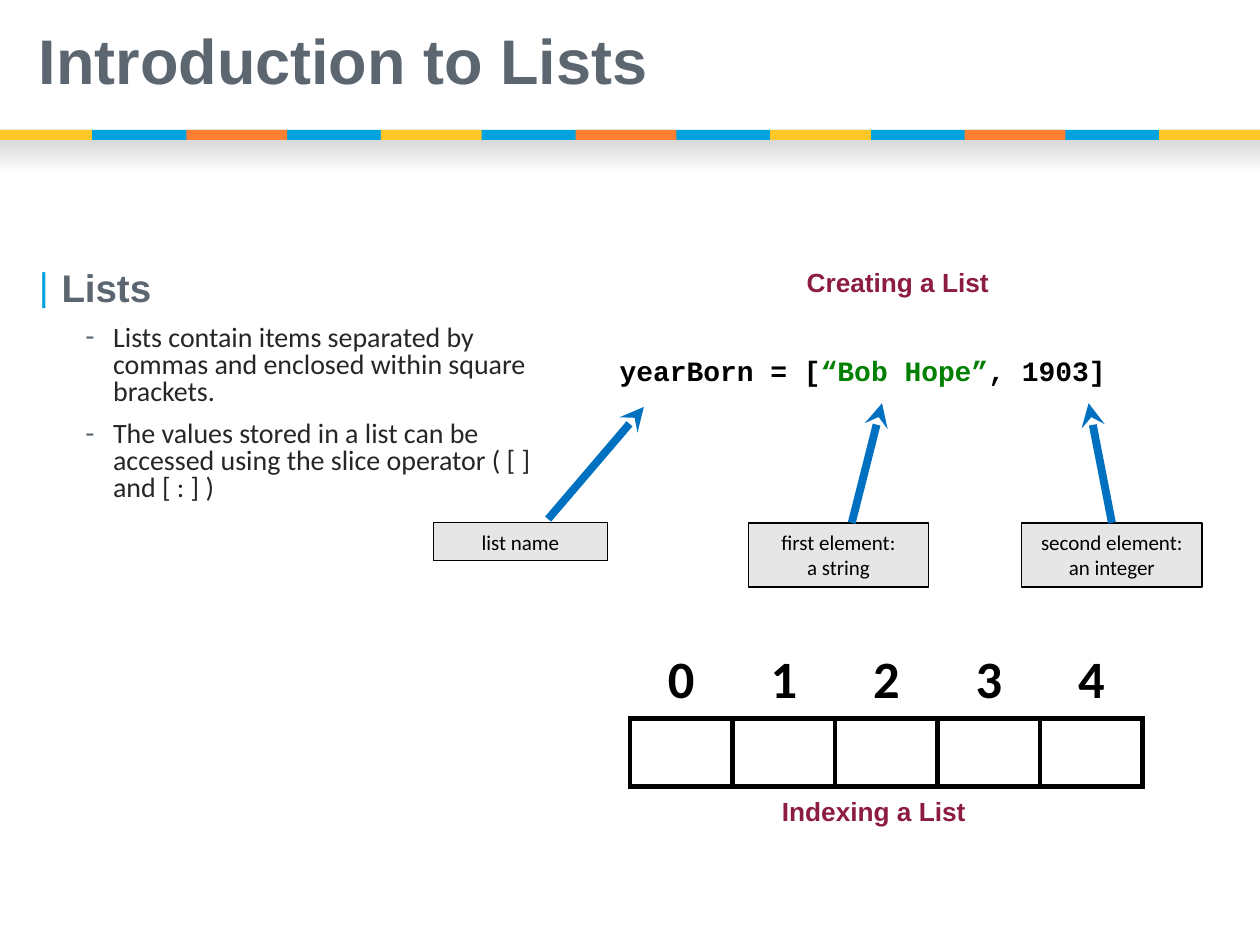
from lxml import etree
from pptx import Presentation
from pptx import util as u
from pptx.dml.color import RGBColor
from pptx.enum import shapes, text
from pptx.oxml import ns

BLACK = RGBColor(0x00, 0x00, 0x00)
WHITE = RGBColor(0xFF, 0xFF, 0xFF)
SLATE = RGBColor(0x5C, 0x66, 0x70)
INK = RGBColor(0x26, 0x26, 0x26)
MAROON = RGBColor(0x8C, 0x1D, 0x40)
GREEN = RGBColor(0x00, 0x80, 0x00)
GOLD = RGBColor(0xFF, 0xC6, 0x27)
SKY = RGBColor(0x00, 0xA2, 0xE0)
ORANGE = RGBColor(0xFF, 0x7F, 0x32)
ARROW_BLUE = RGBColor(0x00, 0x70, 0xC0)
LABEL_GRAY = RGBColor(0xE7, 0xE6, 0xE6)
SHADE_GRAY = RGBColor(0xD9, 0xD9, 0xD9)

COLUMNS, ROWS = 100, 75
CELL = u.Inches(0.1)


def grid(*counts):
    """Turn counts of grid columns or rows into lengths."""
    return [u.Emu(round(count * CELL)) for count in counts]


def add_xml(parent, tag, **attributes):
    return etree.SubElement(parent, ns.qn(tag), attributes)


def style(paragraph, font_name, size, color, bold=False, align=None, spacing=None):
    font = paragraph.font
    font.name, font.size, font.bold = font_name, u.Pt(size), bold
    font.color.rgb = color
    paragraph.alignment = align
    paragraph.line_spacing = spacing


def add_text_box(slide, box, margins=(1, 0.5)):
    frame = slide.shapes.add_textbox(*grid(*box)).text_frame
    frame.word_wrap = True
    frame.margin_left = frame.margin_right = grid(margins[0])[0]
    frame.margin_top = frame.margin_bottom = grid(margins[1])[0]
    return frame


def add_rectangle(slide, box, color=None):
    shape = slide.shapes.add_shape(shapes.MSO_SHAPE.RECTANGLE, *grid(*box))
    shape.shadow.inherit = False
    shape.line.fill.background()
    if color is not None:
        shape.fill.solid()
        shape.fill.fore_color.rgb = color
    return shape


def add_header_band(slide, box):
    """Draw the striped band and the soft shade below it."""
    left, top, width, height = box
    shade = add_rectangle(slide, (left, top + height, width, 2.7))
    shade.fill.gradient()
    shade.fill.gradient_angle = 270
    for stop, color in zip(shade.fill.gradient_stops, (SHADE_GRAY, WHITE)):
        stop.color.rgb = color
    add_rectangle(slide, box, SKY)
    add_rectangle(slide, (left, top, 7.3, height), GOLD)
    stripe = 8
    first = left + 14.8
    pitch = (left + width - stripe - first) / 5
    for index in range(6):
        color = GOLD if index % 2 else ORANGE
        add_rectangle(slide, (first + index * pitch, top, stripe, height), color)


def add_title(slide, box):
    frame = add_text_box(slide, box)
    frame.vertical_anchor = text.MSO_ANCHOR.MIDDLE
    paragraph = frame.paragraphs[0]
    paragraph.text = "Introduction to Lists"
    style(paragraph, "Arial", 36, SLATE, bold=True, spacing=0.9)


def set_bullet(paragraph, character, color, margin, indent):
    properties = paragraph._p.get_or_add_pPr()
    properties.set("marL", str(u.Inches(margin)))
    properties.set("indent", str(u.Inches(indent)))
    add_xml(add_xml(properties, "a:buClr"), "a:srgbClr", val=str(color))
    add_xml(properties, "a:buFont", typeface="Arial")
    add_xml(properties, "a:buChar", char=character)


def add_summary(slide, box):
    frame = add_text_box(slide, box)
    heading = frame.paragraphs[0]
    heading.text = "Lists"
    set_bullet(heading, "|", SKY, 0.19, -0.18)
    style(heading, "Arial", 22, SLATE, bold=True, spacing=0.8)
    for point in (
        "Lists contain items separated by commas and enclosed within square brackets.",
        "The values stored in a list can be accessed using the slice operator ( [ ] and [ : ] )",
    ):
        paragraph = frame.add_paragraph()
        paragraph.text = point
        paragraph.level = 1
        set_bullet(paragraph, "-", SLATE, 0.6, -0.22)
        style(paragraph, "Calibri", 16, INK, spacing=0.8)
        paragraph.space_before = u.Pt(9)


def add_caption(slide, box, words):
    paragraph = add_text_box(slide, box, margins=(0.7, 0.4)).paragraphs[0]
    paragraph.text = words
    style(paragraph, "Arial", 15, MAROON, True, text.PP_ALIGN.CENTER, 0.9)


def add_code_line(slide, box):
    paragraph = add_text_box(slide, box).paragraphs[0]
    style(paragraph, "Courier New", 16, BLACK, bold=True)
    for words, color in (
        ("yearBorn = [", BLACK), ("“Bob Hope”", GREEN), (", 1903]", BLACK),
    ):
        run = paragraph.add_run()
        run.text = words
        run.font.color.rgb = color


def add_label(slide, box, words):
    label = add_rectangle(slide, box, LABEL_GRAY)
    label.line.color.rgb = BLACK
    label.line.width = u.Pt(0.75)
    frame = label.text_frame
    frame.word_wrap = True
    frame.vertical_anchor = text.MSO_ANCHOR.TOP
    paragraph = frame.paragraphs[0]
    paragraph.text = words
    style(paragraph, "Calibri", 12, BLACK, align=text.PP_ALIGN.CENTER)
    return label


def add_arrow(slide, start, end):
    arrow = slide.shapes.add_connector(
        shapes.MSO_CONNECTOR.STRAIGHT, *grid(*start, *end))
    arrow.line.color.rgb = ARROW_BLUE
    arrow.line.width = u.Pt(4.5)
    properties = arrow._element.spPr
    add_xml(properties.find(ns.qn("a:ln")), "a:tailEnd", type="stealth")
    add_xml(properties, "a:effectLst")
    return arrow


def add_creation_diagram(slide, box):
    """Show the assignment and the labels that point at its parts."""
    left, top, width, height = box
    add_caption(slide, (left, top, width, 3.8), "Creating a List")
    add_code_line(slide, (left + 3.4, top + 6.6, 65, 3.7))
    base, tip = top + 20.5, top + 11
    add_label(slide, (left - 10.4, base, 13.8, 3), "list name")
    add_label(slide, (left + 14.6, base, 14.3, 5.1), "first element:\va string")
    second = add_label(slide, (left + 36.3, base, 14.3, 5.1), "second element: an integer")
    add_arrow(slide, (left - 1.3, base - 0.3), (left + 6.3, tip + 0.3))
    add_arrow(slide, (left + 22.8, base), (left + 25.2, tip))
    arrow = add_arrow(slide, (left + 43.5, base), (left + 41.6, tip))
    arrow.begin_connect(second, 0)


def set_borders(cell, sides):
    properties = cell._tc.get_or_add_tcPr()
    for position, side in enumerate(sides):
        line = etree.Element(ns.qn(f"a:ln{side}"), w=str(u.Pt(3)))
        add_xml(add_xml(line, "a:solidFill"), "a:srgbClr", val=str(BLACK))
        properties.insert(position, line)


def add_index_table(slide, box):
    table = slide.shapes.add_table(2, 5, *grid(*box)).table
    table.first_row = table.horz_banding = False
    table.rows[0].height, table.rows[1].height = grid(6, 5.4)
    for index in range(5):
        number, slot = table.cell(0, index), table.cell(1, index)
        number.fill.background()
        number.vertical_anchor = text.MSO_ANCHOR.BOTTOM
        number.margin_left = number.margin_right = grid(1)[0]
        paragraph = number.text_frame.paragraphs[0]
        paragraph.text = str(index)
        style(paragraph, "Calibri", 30, BLACK, True, text.PP_ALIGN.CENTER)
        slot.fill.solid()
        slot.fill.fore_color.rgb = WHITE
        set_borders(number, "B")
        set_borders(slot, "LRTB")


def main():
    presentation = Presentation()
    presentation.slide_width, presentation.slide_height = grid(COLUMNS, ROWS)
    slide = presentation.slides.add_slide(presentation.slide_layouts[6])
    add_header_band(slide, (0, 10.3, COLUMNS, 0.8))
    add_title(slide, (2.1, 0, 95.2, 10.2))
    add_summary(slide, (2, 21.2, 42.6, 37.9))
    add_creation_diagram(slide, (44.8, 21, 52.9, 25.6))
    add_index_table(slide, (50, 51, 40.7, 11.4))
    add_caption(slide, (42.9, 63, 52.9, 3.8), "Indexing a List")
    presentation.save("out.pptx")


if __name__ == "__main__":
    main()
